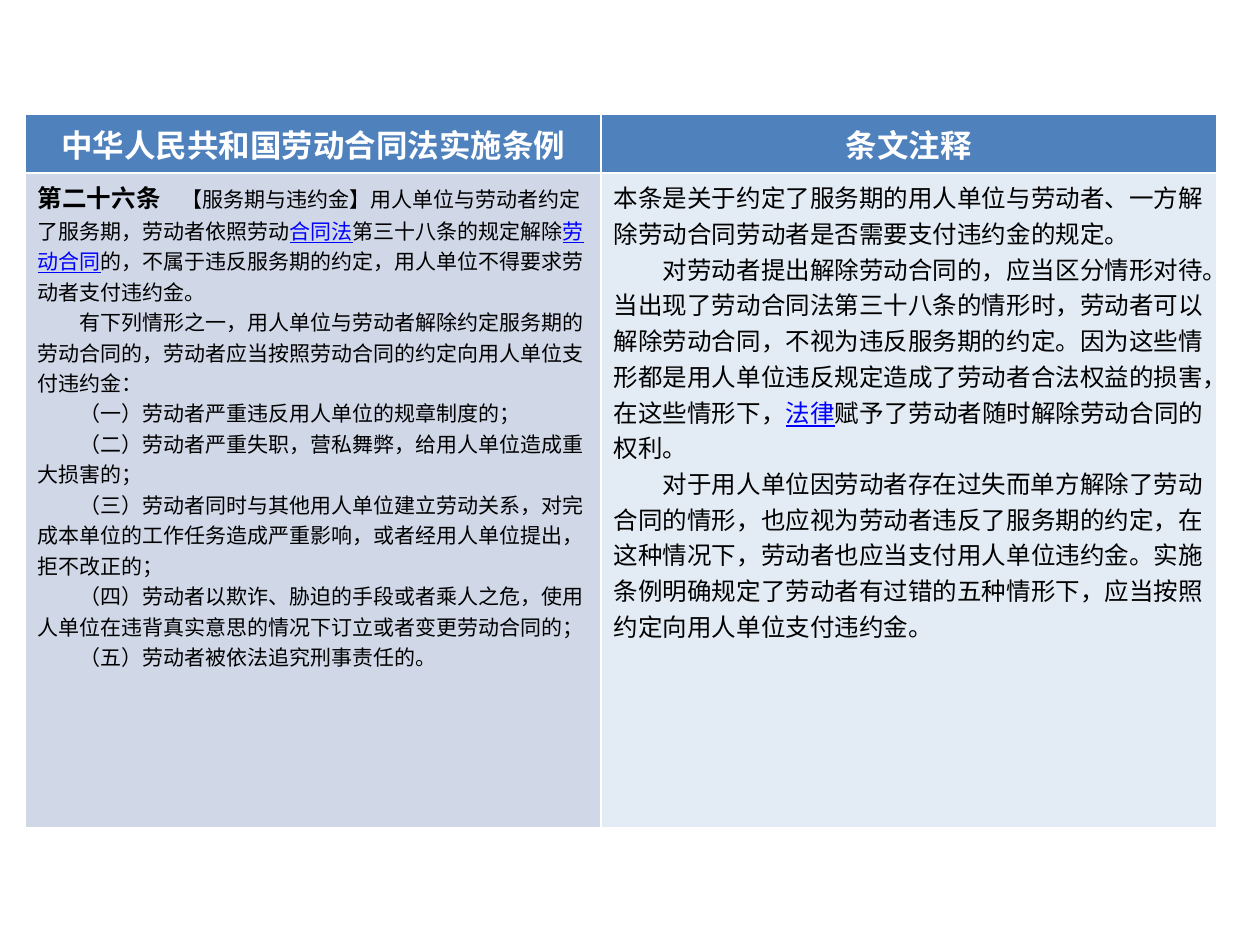
from lxml import etree
from pptx import Presentation
from pptx.dml.color import RGBColor
from pptx.enum.text import PP_ALIGN
from pptx.oxml.ns import qn
from pptx.util import Cm, Pt

CENTER, LEFT = PP_ALIGN.CENTER, PP_ALIGN.LEFT
WHITE = RGBColor(0xFF, 0xFF, 0xFF)
BLACK = RGBColor(0, 0, 0)
LINK_BLUE = RGBColor(0, 0, 0xFF)
HEADER_BLUE = RGBColor(0x4F, 0x81, 0xBD)
ARTICLE_BLUE = RGBColor(0xD0, 0xD8, 0xE8)
NOTE_BLUE = RGBColor(0xDC, 0xE6, 0xF2)

HEADINGS = ["中华人民共和国劳动合同法实施条例", "条文注释"]
ARTICLE = [
    [("第二十六条", "title"),
     ("　【服务期与违约金】用人单位与劳动者约定了服务期，劳动者依照劳动", "plain"),
     ("合同法", "link"), ("第三十八条的规定解除", "plain"), ("劳动合同", "link"),
     ("的，不属于违反服务期的约定，用人单位不得要求劳动者支付违约金。", "plain")],
    [("有下列情形之一，用人单位与劳动者解除约定服务期的劳动合同的，"
      "劳动者应当按照劳动合同的约定向用人单位支付违约金：", "plain")],
    [("（一）劳动者严重违反用人单位的规章制度的；", "plain")],
    [("（二）劳动者严重失职，营私舞弊，给用人单位造成重大损害的；", "plain")],
    [("（三）劳动者同时与其他用人单位建立劳动关系，对完成本单位的工作任务造成严重影响，"
      "或者经用人单位提出，拒不改正的；", "plain")],
    [("（四）劳动者以欺诈、胁迫的手段或者乘人之危，"
      "使用人单位在违背真实意思的情况下订立或者变更劳动合同的；", "plain")],
    [("（五）劳动者被依法追究刑事责任的。", "plain")],
]
NOTES = [
    [("本条是关于约定了服务期的用人单位与劳动者、一方解除劳动合同劳动者"
      "是否需要支付违约金的规定。", "plain")],
    [("对劳动者提出解除劳动合同的，应当区分情形对待。当出现了劳动合同法第三十八条的情形时，"
      "劳动者可以解除劳动合同，不视为违反服务期的约定。因为这些情形都是用人单位违反规定"
      "造成了劳动者合法权益的损害，在这些情形下，", "plain"),
     ("法律", "link"), ("赋予了劳动者随时解除劳动合同的权利。", "plain")],
    [("对于用人单位因劳动者存在过失而单方解除了劳动合同的情形，也应视为劳动者违反了服务期的约定，"
      "在这种情况下，劳动者也应当支付用人单位违约金。实施条例明确规定了劳动者有过错的"
      "五种情形下，应当按照约定向用人单位支付违约金。", "plain")],
]
FORMATS = {
    "heading": {"size": Pt(18), "bold": True, "color": WHITE},
    "title": {"size": Pt(14), "bold": True, "color": BLACK},
    "plain": {"bold": False, "color": BLACK},
    "link": {"bold": False, "color": LINK_BLUE, "underline": True},
}
COLUMN_WIDTHS = [Cm(11.61), Cm(12.4)]
ROW_HEIGHTS = [Cm(0.94), Cm(13.21)]


def add_borders(cell):
    properties = cell._tc.get_or_add_tcPr()
    for side in ("a:lnL", "a:lnR", "a:lnT", "a:lnB"):
        line = etree.SubElement(properties, qn(side), w=str(Pt(1)))
        fill = etree.SubElement(line, qn("a:solidFill"))
        etree.SubElement(fill, qn("a:srgbClr"), val=str(WHITE))


def fill_cell(cell, paragraphs, size, color, opacity, align):
    add_borders(cell)
    cell.fill.solid()
    cell.fill.fore_color.rgb = color
    if opacity < 100:
        swatch = cell._tc.tcPr.find(".//" + qn("a:solidFill") + "[last()]/" + qn("a:srgbClr"))
        swatch = cell._tc.tcPr.find(qn("a:solidFill"))[0]
        etree.SubElement(swatch, qn("a:alpha"), val=str(opacity * 1000))
    frame = cell.text_frame
    for index, spans in enumerate(paragraphs):
        para = frame.add_paragraph() if index else frame.paragraphs[0]
        para.alignment = align
        if index:
            para._p.get_or_add_pPr().set("indent", str(2 * size))
        for text, style in spans:
            span = para.add_run()
            span.text = text
            span.font.name = "Roboto"
            for name, value in ({"size": size} | FORMATS[style]).items():
                if name == "color":
                    span.font.color.rgb = value
                else:
                    setattr(span.font, name, value)


def main():
    deck = Presentation()
    deck.slide_width, deck.slide_height = Cm(25.4), Cm(19.05)
    page = deck.slides.add_slide(deck.slide_layouts[6])
    table = page.shapes.add_table(2, 2, Cm(0.51), Cm(2.31),
                                  sum(COLUMN_WIDTHS), sum(ROW_HEIGHTS)).table
    for column, width in zip(table.columns, COLUMN_WIDTHS):
        column.width = width
    for row, height in zip(table.rows, ROW_HEIGHTS):
        row.height = height
    for index, heading in enumerate(HEADINGS):
        fill_cell(table.cell(0, index), [[(heading, "heading")]], Pt(18), HEADER_BLUE, 100, CENTER)
    fill_cell(table.cell(1, 0), ARTICLE, Pt(12), ARTICLE_BLUE, 100, LEFT)
    fill_cell(table.cell(1, 1), NOTES, Pt(14), NOTE_BLUE, 80, LEFT)
    deck.save("out.pptx")


if __name__ == "__main__":
    main()
